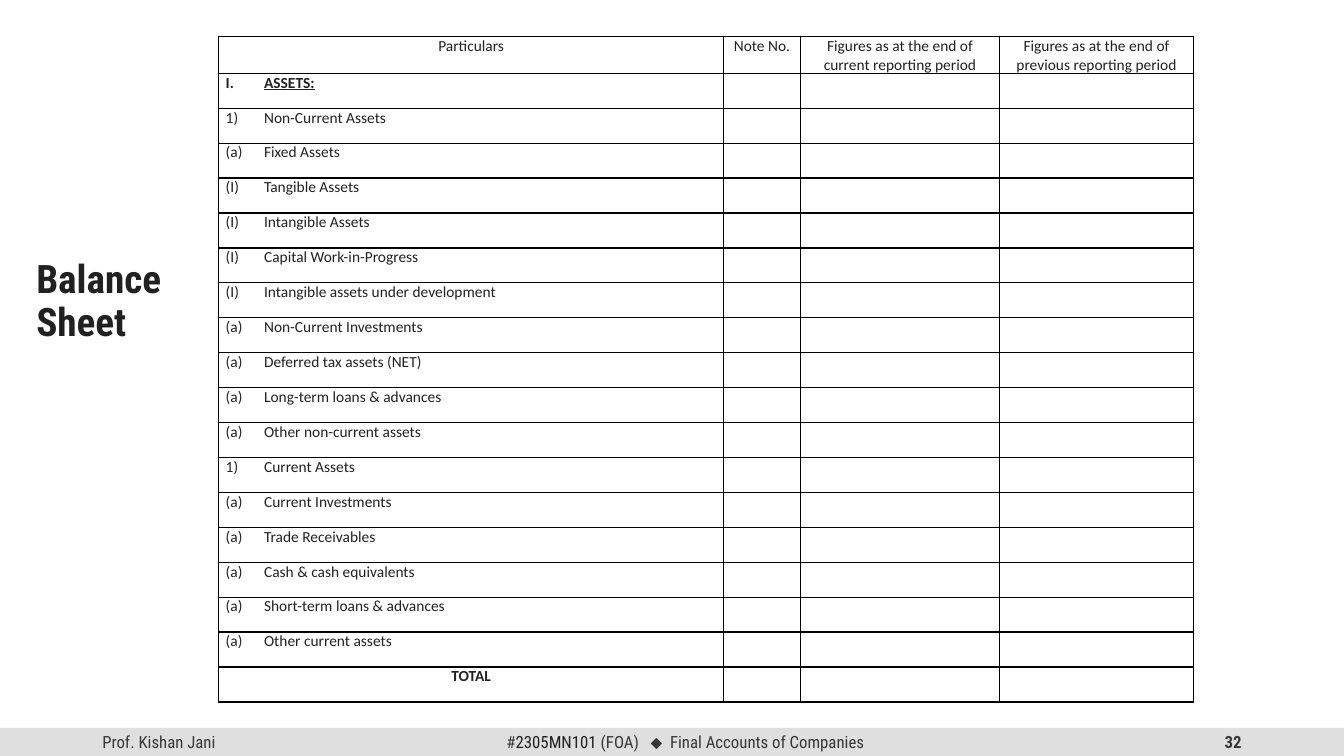
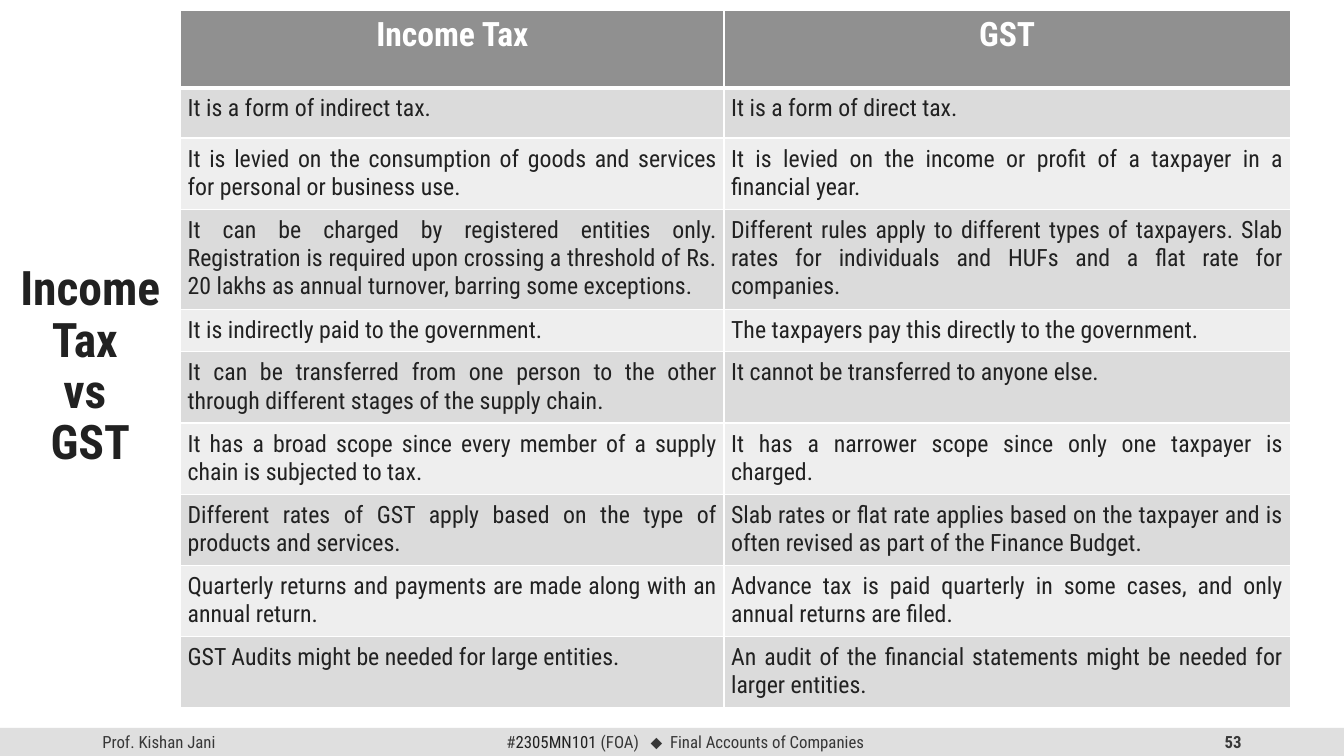
import pptx
import pptx.dml.color
import pptx.enum.shapes
import pptx.enum.text
import pptx.oxml
import pptx.oxml.ns
import pptx.util

ALIGN = pptx.enum.text.PP_ALIGN
ANCHOR = pptx.enum.text.MSO_ANCHOR

ASSET_ROWS = [
    ("romanUcPeriod", "ASSETS:"),
    ("arabicParenR", "Non-Current Assets"),
    ("alphaLcParenBoth", "Fixed Assets"),
    ("romanUcParenBoth", "Tangible Assets"),
    ("romanUcParenBoth", "Intangible Assets"),
    ("romanUcParenBoth", "Capital Work-in-Progress"),
    ("romanUcParenBoth", "Intangible assets under development"),
    ("alphaLcParenBoth", "Non-Current Investments"),
    ("alphaLcParenBoth", "Deferred tax assets (NET)"),
    ("alphaLcParenBoth", "Long-term loans & advances"),
    ("alphaLcParenBoth", "Other non-current assets"),
    ("arabicParenR", "Current Assets"),
    ("alphaLcParenBoth", "Current Investments"),
    ("alphaLcParenBoth", "Trade Receivables"),
    ("alphaLcParenBoth", "Cash & cash equivalents"),
    ("alphaLcParenBoth", "Short-term loans & advances"),
    ("alphaLcParenBoth", "Other current assets"),
]
BALANCE_HEADINGS = [
    "Particulars", "Note No.",
    "Figures as at the end of current reporting period",
    "Figures as at the end of previous reporting period",
]

# Row height in grid rows, then the two statements.
TAX_ROWS = [
    (6, "It is a form of indirect tax.", "It is a form of direct tax."),
    (7.9, "It is levied on the consumption of goods and services for personal or business use.",
     "It is levied on the income or profit of a taxpayer in a financial year."),
    (11.4, "It can be charged by registered entities only. Registration is required upon "
     "crossing a threshold of Rs. 20 lakhs as annual turnover, barring some exceptions.",
     "Different rules apply to different types of taxpayers. Slab rates for individuals "
     "and HUFs and a flat rate for companies."),
    (4.7, "It is indirectly paid to the government.",
     "The taxpayers pay this directly to the government."),
    (7.9, "It can be transferred from one person to the other through different stages "
     "of the supply chain.", "It cannot be transferred to anyone else."),
    (7.9, "It has a broad scope since every member of a supply chain is subjected to tax.",
     "It has a narrower scope since only one taxpayer is charged."),
    (7.9, "Different rates of GST apply based on the type of products and services.",
     "Slab rates or flat rate applies based on the taxpayer and is often revised as part "
     "of the Finance Budget."),
    (7.9, "Quarterly returns and payments are made along with an annual return.",
     "Advance tax is paid quarterly in some cases, and only annual returns are filed."),
    (7.9, "GST Audits might be needed for large entities.",
     "An audit of the financial statements might be needed for larger entities."),
]


def color(hex_string):
    return pptx.dml.color.RGBColor.from_string(hex_string)


class Deck:
    """Style and current slide; lengths are in a grid of 160 columns by 90 rows."""
    FONT = "Roboto Condensed"
    TABLE_FONT = "Calibri"
    SYMBOL_FONT = "Arial"
    INK = "212121"
    FOOTER_INK = "373737"
    BAND = "DFDFDF"
    BLACK = "000000"
    WHITE = "FFFFFF"
    HEADER_FILL = "909090"
    STRIPES = ("DBDBDB", "EEEEEE")
    FOOTER_TOP, FOOTER_HEIGHT = 86.64, 3.36

    def __init__(self):
        self.presentation = pptx.Presentation()
        self.presentation.slide_width = pptx.util.Inches(13.33)
        self.presentation.slide_height = pptx.util.Inches(7.5)
        self.slide = None

    def columns(self, count):
        return round(self.presentation.slide_width * count / 160)

    def rows(self, count):
        return round(self.presentation.slide_height * count / 90)

    def box(self, left, top, width, height):
        return self.columns(left), self.rows(top), self.columns(width), self.rows(height)

    def style(self, paragraph, size, ink=INK, font=FONT, bold=False, align=ALIGN.LEFT):
        paragraph.alignment = align
        for run in paragraph.runs:
            run.font.size = pptx.util.Pt(size)
            run.font.name = font
            run.font.bold = bold
            run.font.color.rgb = color(ink)

    def add_slide(self, number):
        self.slide = self.presentation.slides.add_slide(self.presentation.slide_layouts[5])
        band = self.slide.shapes.add_shape(
            pptx.enum.shapes.MSO_SHAPE.RECTANGLE,
            *self.box(0, self.FOOTER_TOP, 160, self.FOOTER_HEIGHT))
        band.shadow.inherit = False
        band.fill.solid()
        band.fill.fore_color.rgb = color(self.BAND)
        band.line.fill.background()
        self.footer_text(11, 36, ["Prof. Kishan Jani"])
        self.footer_text(113, 36, [str(number)], align=ALIGN.RIGHT, bold=True)
        course = self.footer_text(
            50.2, 62.8,
            ["#", "2305MN101 ", "(FOA)   ", "⬥", "  Final Accounts of Companies"],
            align=ALIGN.CENTER)
        course.runs[1].font.color.rgb = color(self.INK)
        course.runs[3].font.name = self.SYMBOL_FONT

    def footer_text(self, left, width, parts, **look):
        text_box = self.slide.shapes.add_textbox(
            *self.box(left, self.FOOTER_TOP, width, self.FOOTER_HEIGHT))
        text_box.text_frame.word_wrap = True
        text_box.text_frame.vertical_anchor = ANCHOR.MIDDLE
        paragraph = text_box.text_frame.paragraphs[0]
        for part in parts:
            paragraph.add_run().text = part
        self.style(paragraph, 12, self.FOOTER_INK, **look)
        return paragraph

    def title(self, text, area, size, align, anchor):
        title = self.slide.shapes.title
        title.left, title.top, title.width, title.height = self.box(*area)
        frame = title.text_frame
        frame.text = text
        frame.word_wrap = True
        frame.auto_size = pptx.enum.text.MSO_AUTO_SIZE.NONE
        frame.vertical_anchor = anchor
        for paragraph in frame.paragraphs:
            self.style(paragraph, size, bold=True, align=align)
            paragraph.line_spacing = 0.9

    def table(self, left, top, widths, heights):
        frame = self.slide.shapes.add_table(
            len(heights), len(widths), *self.box(left, top, sum(widths), sum(heights)))
        table = frame.table
        table.first_row = table.horz_banding = False
        for column, width in zip(table.columns, widths):
            column.width = self.columns(width)
        for row, height in zip(table.rows, heights):
            row.height = self.rows(height)
        return table

    def cell(self, cell, text, size, line, fill=None, top_line=1, bottom_line=1,
             margins=(0.07, 0), **look):
        side, edge = (pptx.util.Inches(margin) for margin in margins)
        cell.margin_left = cell.margin_right = side
        cell.margin_top = cell.margin_bottom = edge
        self.borders(cell, line, {"L": 1, "R": 1, "T": top_line, "B": bottom_line})
        if fill:
            cell.fill.solid()
            cell.fill.fore_color.rgb = color(fill)
        else:
            cell.fill.background()
        if text:
            cell.text_frame.text = text
        paragraph = cell.text_frame.paragraphs[0]
        self.style(paragraph, size, **look)
        return paragraph

    def borders(self, cell, line, widths):
        properties = cell._tc.get_or_add_tcPr()
        for side, width in widths.items():
            properties.append(pptx.oxml.parse_xml(
                f'<a:ln{side} {pptx.oxml.ns.nsdecls("a")} w="{pptx.util.Pt(width)}">'
                f'<a:solidFill><a:srgbClr val="{line}"/></a:solidFill></a:ln{side}>'))

    def number(self, paragraph, scheme):
        """Give a paragraph an automatic number with a hanging indent."""
        properties = paragraph._p.get_or_add_pPr()
        indent = pptx.util.Inches(0.38)
        properties.set("marL", str(indent))
        properties.set("indent", str(-indent))
        properties.append(pptx.oxml.parse_xml(
            f'<a:buAutoNum {pptx.oxml.ns.nsdecls("a")} type="{scheme}"/>'))


def balance_sheet(deck):
    deck.add_slide(32)
    deck.title("Balance\nSheet", (3.12, 30.36, 18.12, 41.16), 28, ALIGN.LEFT, ANCHOR.TOP)
    contents = [BALANCE_HEADINGS]
    contents += [[label, "", "", ""] for _, label in ASSET_ROWS]
    contents.append(["TOTAL", "", "", ""])
    table = deck.table(26.04, 4.32, [60.12, 9.12, 23.76, 23.04], [4.16] * len(contents))
    last = len(contents) - 1
    for row, texts in enumerate(contents):
        for column, text in enumerate(texts):
            paragraph = deck.cell(
                table.cell(row, column), text, 11, deck.BLACK, font=deck.TABLE_FONT,
                bold=row in (1, last),
                align=ALIGN.CENTER if row in (0, last) else ALIGN.LEFT)
            if column == 0 and 0 < row < last:
                deck.number(paragraph, ASSET_ROWS[row - 1][0])
    table.cell(1, 0).text_frame.paragraphs[0].runs[0].font.underline = True


def tax_comparison(deck):
    deck.add_slide(53)
    deck.title("Income Tax \vvs \vGST", (0, 0, 21.5, 87.5), 34, ALIGN.CENTER, ANCHOR.MIDDLE)
    heights = [9.24] + [height for height, *_ in TAX_ROWS]
    table = deck.table(21.5, 1.2, [64.7, 67.4], heights)
    for column, heading in enumerate(["Income Tax", "GST"]):
        deck.cell(table.cell(0, column), heading, 24, deck.WHITE, deck.HEADER_FILL,
                  bottom_line=3, margins=(0.1, 0.05), ink=deck.WHITE, bold=True,
                  align=ALIGN.CENTER)
    for row, (_, *statements) in enumerate(TAX_ROWS, start=1):
        for column, statement in enumerate(statements):
            deck.cell(table.cell(row, column), statement, 17, deck.WHITE,
                      deck.STRIPES[(row - 1) % 2], top_line=3 if row == 1 else 1,
                      margins=(0.07, 0.07), align=ALIGN.JUSTIFY)


def main():
    deck = Deck()
    balance_sheet(deck)
    tax_comparison(deck)
    deck.presentation.save("out.pptx")


if __name__ == "__main__":
    main()
